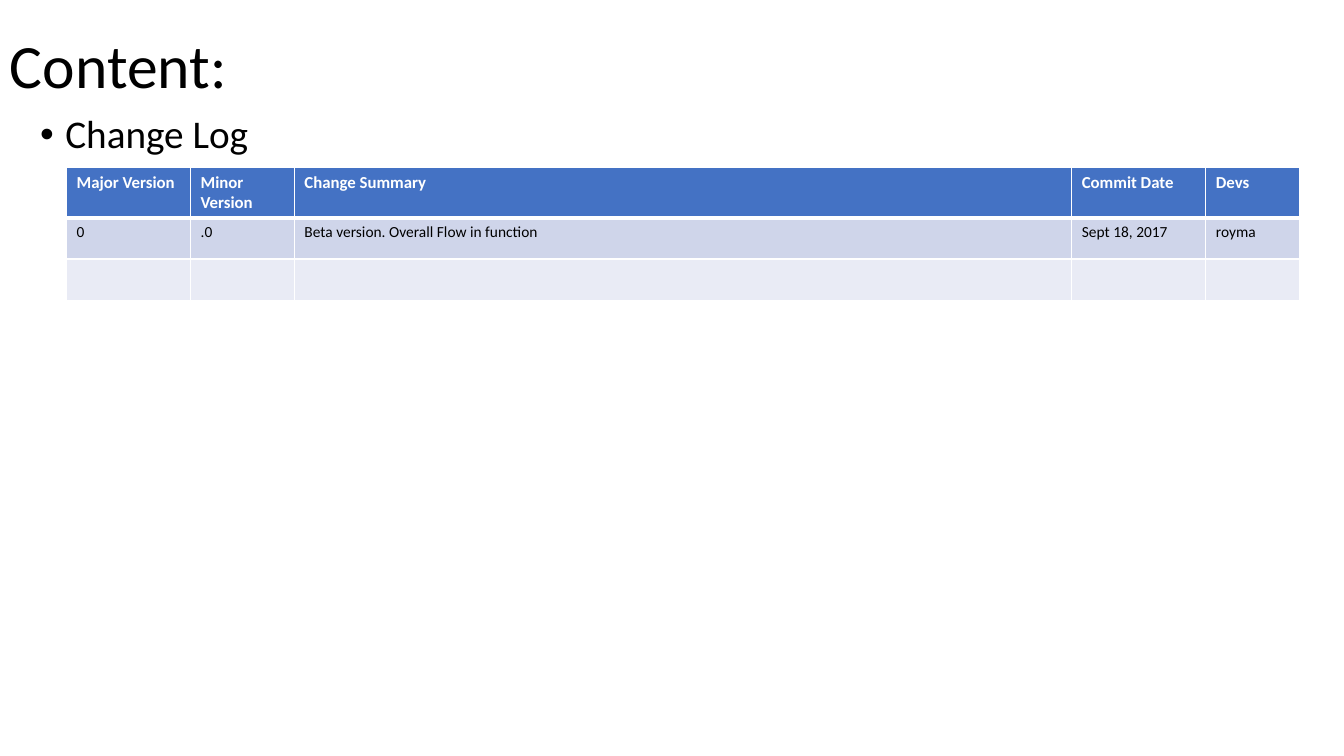
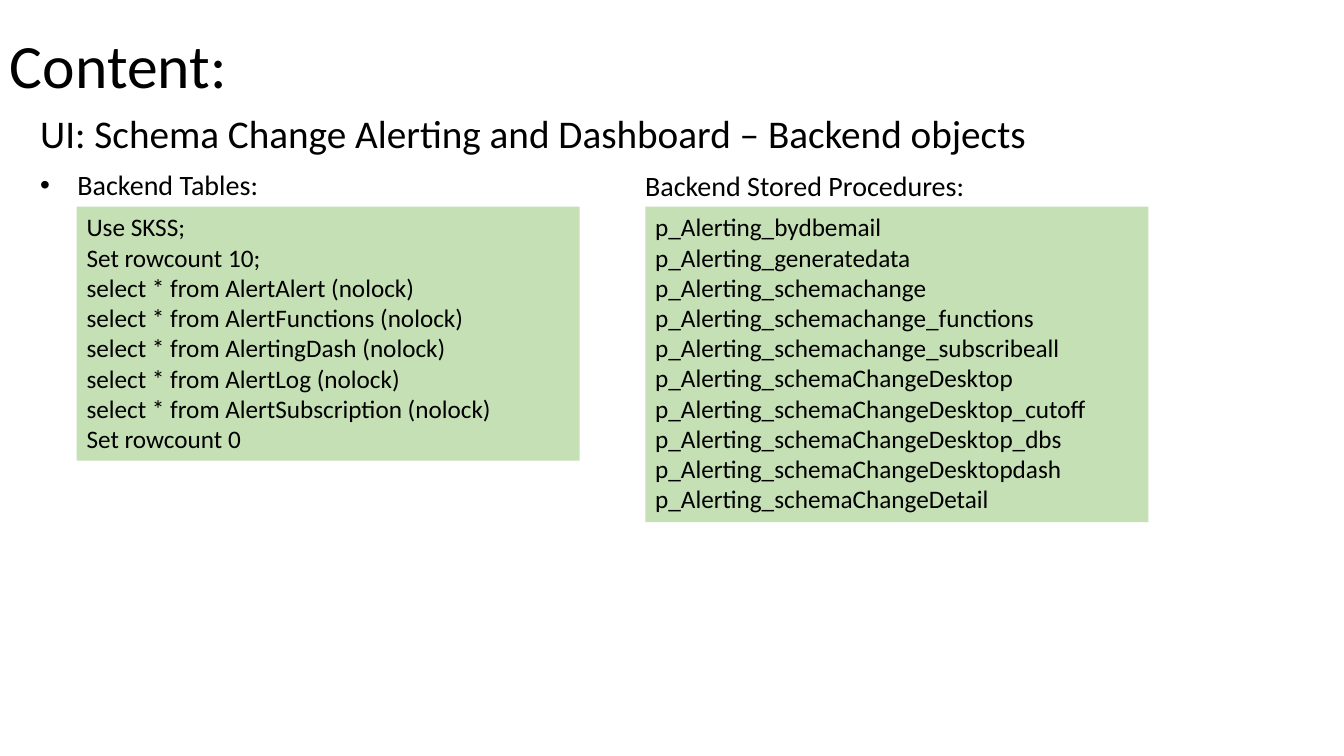
from lxml import etree
from pptx import Presentation
from pptx.dml.color import RGBColor
from pptx.enum.shapes import MSO_SHAPE
from pptx.enum.text import MSO_ANCHOR, MSO_AUTO_SIZE, PP_ALIGN
from pptx.oxml.ns import qn
from pptx.util import Pt

RECT = MSO_SHAPE.RECTANGLE
TOP, MIDDLE = MSO_ANCHOR.TOP, MSO_ANCHOR.MIDDLE
GROW = MSO_AUTO_SIZE.SHAPE_TO_FIT_TEXT
LEFT = PP_ALIGN.LEFT

FONT = "Calibri"
COLORS = {
    "text": "000000",
    "white": "FFFFFF",
    "header": "4472C4",
    "band_dark": "CFD5EA",
    "band_light": "E9EBF5",
    "code": "C5E0B4",
}

# 100 px to the inch
SCALE = 9144
BODY_X, BODY_Y = 30, 109
CODE_Y, CODE_W = 205, 499
TABLES_X, PROCEDURES_X = 76, 640

COLUMN_WIDTHS = [123, 103, 771, 133, 93]
ROW_HEIGHT = 41
CHANGE_LOG = [
    ["Major Version", "Minor Version", "Change Summary", "Commit Date", "Devs"],
    ["0", ".0", "Beta version. Overall Flow in function", "Sept 18, 2017", "royma"],
    [""] * 5,
]

TABLE_QUERIES = [
    "Use SKSS;",
    "Set rowcount 10;",
    "select * from AlertAlert (nolock)",
    "select * from AlertFunctions (nolock)",
    "select * from AlertingDash (nolock)",
    "select * from AlertLog (nolock)",
    "select * from AlertSubscription (nolock)",
    "Set rowcount 0",
]
PROCEDURES = ["p_Alerting_" + name for name in (
    "bydbemail", "generatedata", "schemachange", "schemachange_functions",
    "schemachange_subscribeall", "schemaChangeDesktop",
    "schemaChangeDesktop_cutoff", "schemaChangeDesktop_dbs",
    "schemaChangeDesktopdash", "schemaChangeDetail",
)]


def px(n):
    return n * SCALE


def rgb(name):
    return RGBColor.from_string(COLORS[name])


def write(p, text, size=18, color="text", bold=False, line=1.0, before=0, hang=0):
    """Fill a paragraph; a hanging indent brings a bullet."""
    p.alignment = LEFT
    p.line_spacing = line
    p.space_before = Pt(before)
    if hang:
        pPr = p._p.get_or_add_pPr()
        pPr.set("marL", str(px(hang)))
        pPr.set("indent", str(-px(hang)))
        etree.SubElement(pPr, qn("a:buFont"), typeface="Arial")
        etree.SubElement(pPr, qn("a:buChar"), char="•")
    r = p.add_run()
    r.text = text
    r.font.name = FONT
    r.font.size = Pt(size)
    r.font.bold = bold
    r.font.color.rgb = rgb(color)


def add_text(s, x, y, w, h, items, anchor=TOP):
    """Text box from (text, format) pairs, one paragraph each."""
    tf = s.shapes.add_textbox(px(x), px(y), px(w), px(h)).text_frame
    tf.word_wrap = True
    tf.vertical_anchor = anchor
    for i, (text, fmt) in enumerate(items):
        p = tf.add_paragraph() if i else tf.paragraphs[0]
        write(p, text, line=0.9, **fmt)


def add_code(s, x, h, lines):
    sp = s.shapes.add_shape(RECT, px(x), px(CODE_Y), px(CODE_W), px(h))
    sp.shadow.inherit = False
    sp.fill.solid()
    sp.fill.fore_color.rgb = rgb("code")
    sp.line.fill.background()
    tf = sp.text_frame
    tf.word_wrap = True
    tf.auto_size = GROW
    tf.vertical_anchor = TOP
    for i, text in enumerate(lines):
        write(tf.add_paragraph() if i else tf.paragraphs[0], text)


def style_cell(cell, fill, bottom):
    # Borders come before the fill in the cell properties
    tcPr = cell._tc.get_or_add_tcPr()
    for side, width in (("L", 1), ("R", 1), ("T", 1), ("B", bottom)):
        ln = etree.SubElement(tcPr, qn("a:ln" + side), w=str(Pt(width)))
        solid = etree.SubElement(ln, qn("a:solidFill"))
        etree.SubElement(solid, qn("a:srgbClr"), val=COLORS["white"])
    cell.fill.solid()
    cell.fill.fore_color.rgb = rgb(fill)


def add_grid(s, x, y, rows):
    table = s.shapes.add_table(
        len(rows), len(COLUMN_WIDTHS), px(x), px(y),
        px(sum(COLUMN_WIDTHS)), px(ROW_HEIGHT * len(rows))).table
    for column, width in zip(table.columns, COLUMN_WIDTHS):
        column.width = px(width)
    for i, row in enumerate(rows):
        table.rows[i].height = px(ROW_HEIGHT)
        header = i == 0
        fill = "header" if header else ("band_light", "band_dark")[i % 2]
        for j, text in enumerate(row):
            cell = table.cell(i, j)
            style_cell(cell, fill, bottom=3 if header else 1)
            if text:
                write(cell.text_frame.paragraphs[0], text,
                      size=12 if header else 11, bold=header,
                      color="white" if header else "text")


def add_slide(prs):
    """Blank slide with the shared title."""
    s = prs.slides.add_slide(prs.slide_layouts[6])
    add_text(s, 0, -5, 1150, 145, [("Content:", {"size": 44})], anchor=MIDDLE)
    return s


def change_log_slide(prs):
    s = add_slide(prs)
    add_text(s, BODY_X, BODY_Y, 1275, 55,
             [("Change Log", {"size": 28, "before": 10, "hang": 25})])
    add_grid(s, 66, 166, CHANGE_LOG)


def backend_slide(prs):
    s = add_slide(prs)
    add_text(s, BODY_X, BODY_Y, 1249, 95, [
        ("UI: Schema Change Alerting and Dashboard – Backend objects",
         {"size": 28, "before": 10}),
        ("Backend Tables:", {"size": 20, "before": 10, "hang": 37}),
    ])
    add_text(s, PROCEDURES_X - 10, 166, CODE_W, 39,
             [("Backend Stored Procedures:", {"size": 20})])
    add_code(s, TABLES_X, 252, TABLE_QUERIES)
    add_code(s, PROCEDURES_X, 313, PROCEDURES)


def main():
    prs = Presentation()
    prs.slide_width, prs.slide_height = px(1333), px(750)
    change_log_slide(prs)
    backend_slide(prs)
    prs.save("out.pptx")


if __name__ == "__main__":
    main()
